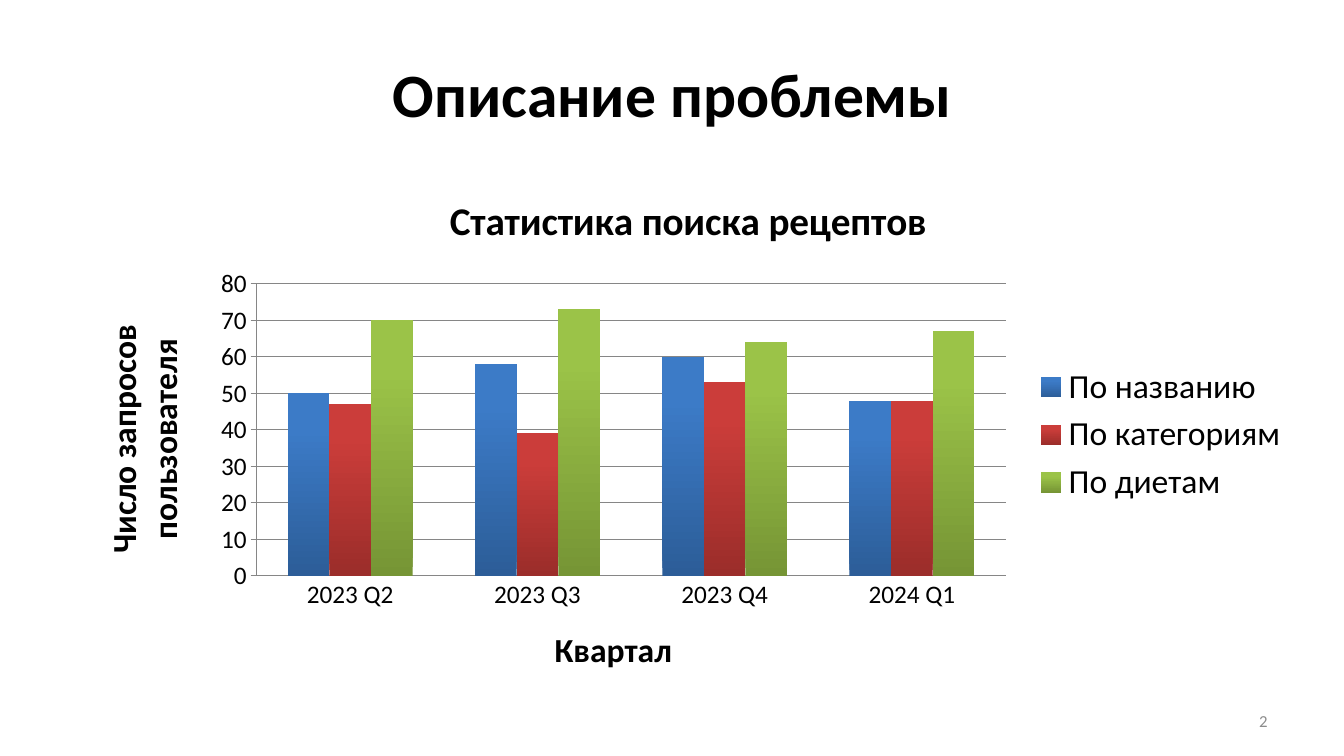
from pptx import Presentation
from pptx.chart.data import CategoryChartData
from pptx.dml.color import RGBColor
from pptx.enum.chart import XL_CHART_TYPE, XL_LEGEND_POSITION, XL_TICK_MARK
from pptx.enum.text import MSO_ANCHOR, PP_ALIGN
from pptx.util import Inches, Pt

COLUMNS = XL_CHART_TYPE.COLUMN_CLUSTERED
LEGEND_RIGHT = XL_LEGEND_POSITION.RIGHT
TICK_NONE, TICK_OUT = XL_TICK_MARK.NONE, XL_TICK_MARK.OUTSIDE
MIDDLE = MSO_ANCHOR.MIDDLE
CENTER, RIGHT = PP_ALIGN.CENTER, PP_ALIGN.RIGHT

FONT = "Calibri"
BLACK, GRAY, AXIS_GRAY = "000000", "8C8C8C", "868686"
QUARTERS = ["2023 Q2", "2023 Q3", "2023 Q4", "2024 Q1"]
SEARCHES = [
    ("По названию", (50, 58, 60, 48), "2C5D98", "3C7BC7"),
    ("По категориям", (47, 39, 53, 48), "9B2D2A", "CB3D3A"),
    ("По диетам", (70, 73, 64, 67), "769535", "9BC348"),
]


def rgb(color):
    """Return the colour for a hex string."""
    return RGBColor.from_string(color)


def style_font(font, size, color=BLACK, bold=False):
    """Set the typeface, size, colour and weight of a font."""
    font.name, font.size, font.bold = FONT, Pt(size), bold
    font.color.rgb = rgb(color)


def write(tf, text, size, color=BLACK, bold=False, align=CENTER):
    """Write one formatted run into the first paragraph."""
    p = tf.paragraphs[0]
    p.alignment = align
    r = p.add_run()
    r.text = text
    style_font(r.font, size, color, bold)


def place(sp, box):
    """Move a shape to a box given in inches."""
    sp.left, sp.top, sp.width, sp.height = map(Inches, box)


def add_title(s, box):
    """Fill and place the slide title."""
    sp = s.shapes.title
    place(sp, box)
    sp.text_frame.vertical_anchor = MIDDLE
    write(sp.text_frame, "Описание проблемы", 44, bold=True)


def style_axis(axis, title, tick):
    """Format an axis and give it a title."""
    axis.major_tick_mark, axis.minor_tick_mark = tick, TICK_NONE
    style_font(axis.tick_labels.font, 18)
    axis.format.line.color.rgb = rgb(AXIS_GRAY)
    axis.format.line.width = Pt(0.75)
    write(axis.axis_title.text_frame, title, 24, bold=True)


def add_search_chart(s, box):
    """Add the column chart of recipe searches per quarter."""
    data = CategoryChartData()
    data.categories = QUARTERS
    for name, values, _, _ in SEARCHES:
        data.add_series(name, values)
    chart = s.shapes.add_chart(COLUMNS, *map(Inches, box), data).chart
    style_font(chart.font, 18)
    write(chart.chart_title.text_frame, "Статистика поиска рецептов", 28, bold=True)
    chart.chart_title.include_in_layout = False

    style_axis(chart.category_axis, "Квартал", TICK_NONE)
    axis = chart.value_axis
    style_axis(axis, "Число запросов пользователя", TICK_OUT)
    body = axis.axis_title.text_frame._txBody.bodyPr
    body.set("rot", "-5400000")
    body.set("vert", "horz")
    axis.minimum_scale, axis.maximum_scale, axis.major_unit = 0, 80, 10
    axis.major_gridlines.format.line.color.rgb = rgb(AXIS_GRAY)
    axis.major_gridlines.format.line.width = Pt(0.75)

    chart.has_legend = True
    chart.legend.position = LEGEND_RIGHT
    chart.legend.include_in_layout = False
    style_font(chart.legend.font, 24)

    plot = chart.plots[0]
    plot.gap_width, plot.overlap, plot.vary_by_categories = 150, 0, False
    for series, (_, _, dark, light) in zip(plot.series, SEARCHES):
        fill = series.format.fill
        fill.gradient()
        fill.gradient_angle = 90
        for stop, color, position in zip(fill.gradient_stops, (dark, light), (0, 0.8)):
            stop.color.rgb, stop.position = rgb(color), position


def add_page_number(s, box):
    """Add the slide number at the lower right."""
    tf = s.shapes.add_textbox(*map(Inches, box)).text_frame
    tf.word_wrap = True
    tf.vertical_anchor = MIDDLE
    write(tf, "2", 12, GRAY, align=RIGHT)


def main():
    """Build and save the presentation."""
    prs = Presentation()
    prs.slide_width, prs.slide_height = Inches(13.33), Inches(7.5)
    s = prs.slides.add_slide(prs.slide_layouts[5])
    add_title(s, (0.67, 0.3, 12, 1.25))
    add_search_chart(s, (0.76, 1.7, 12.13, 5.23))
    add_page_number(s, (9.56, 6.95, 3.11, 0.4))
    prs.save("out.pptx")


if __name__ == "__main__":
    main()
